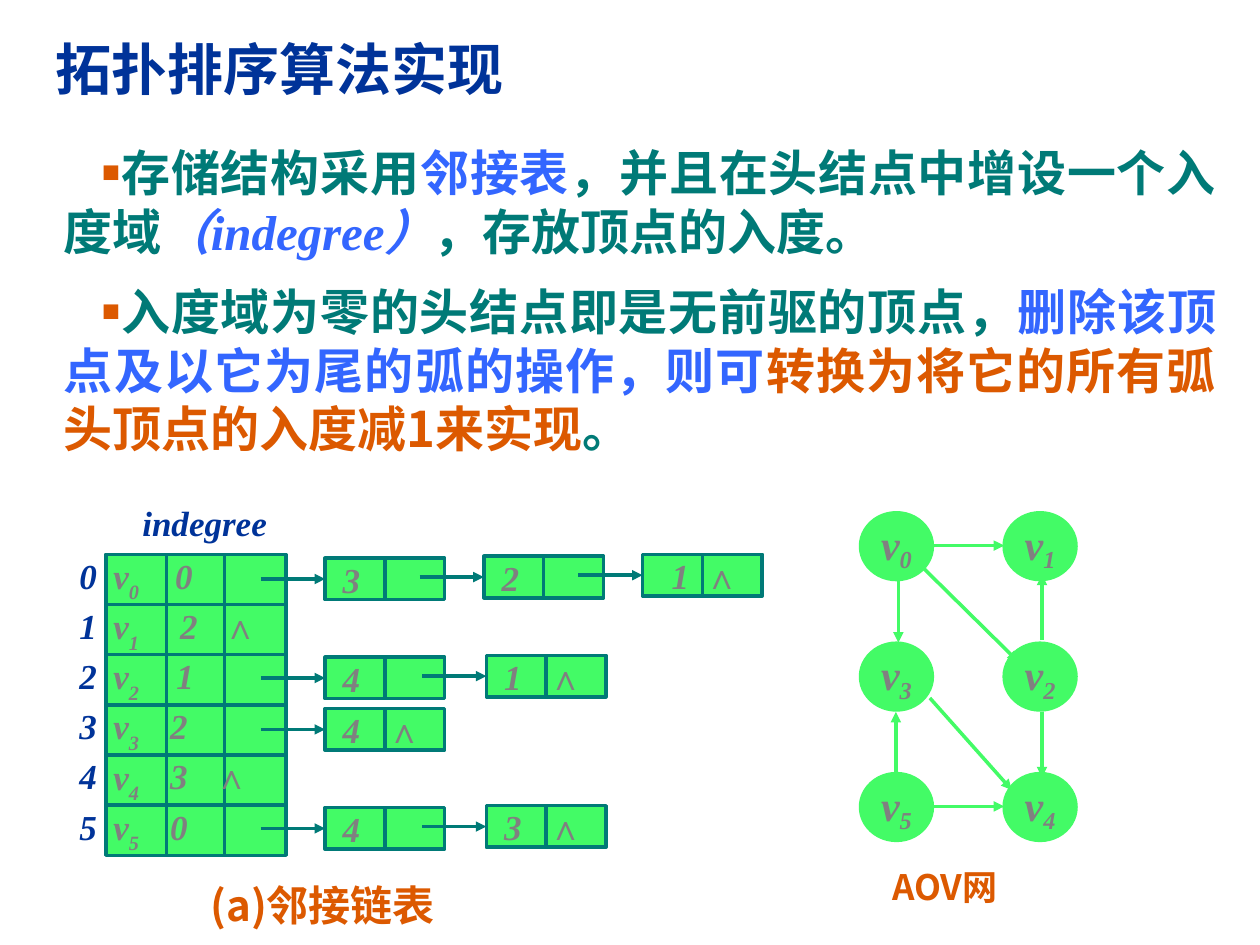
from dataclasses import dataclass
from typing import Optional

from lxml import etree
from pptx import Presentation
from pptx.dml.color import RGBColor
from pptx.enum.shapes import MSO_CONNECTOR, MSO_SHAPE
from pptx.enum.text import MSO_ANCHOR, MSO_AUTO_SIZE, PP_ALIGN
from pptx.oxml.ns import qn
from pptx.util import Inches, Pt

STRAIGHT = MSO_CONNECTOR.STRAIGHT
RECTANGLE, OVAL = MSO_SHAPE.RECTANGLE, MSO_SHAPE.OVAL
TOP, MIDDLE = MSO_ANCHOR.TOP, MSO_ANCHOR.MIDDLE
LEFT, CENTER, JUSTIFY = PP_ALIGN.LEFT, PP_ALIGN.CENTER, PP_ALIGN.JUSTIFY
FIXED = MSO_AUTO_SIZE.NONE
COLORS = {"navy": "003399", "teal": "007A77", "blue": "3366FF", "orange": "DC5900",
          "green": "43FB66", "gray": "808080"}
HAN, SERIF = "Noto Sans CJK SC", "Times New Roman"
COLUMNS, ROWS = 100, 75


@dataclass(frozen=True)
class Style:
    size: float
    color: str
    font: str = HAN
    italic: bool = False
    baseline: int = 0


@dataclass(frozen=True)
class Vertex:
    degree: int
    degree_left: float
    end_left: Optional[float] = None


@dataclass(frozen=True)
class Chain:
    row: int
    vertices: tuple
    drop: float
    pitch: float


TEAL, BLUE, ORANGE = (Style(28, name) for name in ("teal", "blue", "orange"))
LABEL = Style(20, "navy", SERIF, True)
CELL = Style(20, "gray", SERIF, True)
CELL_SUB = Style(20, "gray", SERIF, True, -30)
NODE = Style(24, "gray", SERIF, True)
NODE_SUB = Style(24, "gray", SERIF, True, -20)

POINTS = [
    [("存储结构采用", TEAL), ("邻接表", BLUE), ("，并且在头结点中增设一个入度域", TEAL),
     ("（indegree）", Style(28, "blue", SERIF, True)), ("，存放顶点的入度。", TEAL)],
    [("入度域为零的头结点即是无前驱的顶点，", TEAL),
     ("删除该顶点及以它为尾的弧的操作，则可", BLUE),
     ("转换为将它的所有弧头顶点的入度减1来实现", ORANGE), ("。", TEAL)],
]
VERTICES = [Vertex(0, 13.9), Vertex(2, 14.3, 17.7), Vertex(1, 14), Vertex(2, 13.5),
            Vertex(3, 13.5, 17), Vertex(0, 13.5)]
CHAINS = [Chain(0, (3, 2, 1), 0.3, 12.6), Chain(2, (4, 1), 0.2, 12.8),
          Chain(3, (4,), 0.3, 12.6), Chain(5, (4, 3), 0.2, 12.8)]
TABLE_LEFT, TABLE_TOP, TABLE_WIDTH, ROW_HEIGHT = 8.4, 44, 14.3, 3.98
LINK_LEFT, LINK_WIDTH, LINK_HEIGHT, LINK_LEAD = 25.8, 9.5, 3.3, 5.1
NODE_LEFT, NODE_TOP, NODE_WIDTH, NODE_HEIGHT = 68.3, 40.7, 5.7, 5.3
NODE_GAP_X, NODE_GAP_Y = 11.4, 10.35
NODE_GRID = [[0, 1], [3, 2], [5, 4]]
EDGES_BELOW = [(74, 64, 79.7, 64), (73.2, 45, 80.8, 52.5)]
EDGES_ABOVE = [(82.7, 56.5, 82.7, 61.7), (82.7, 50.8, 82.7, 45.6),
               (73.8, 55.4, 80.3, 62.7), (74, 43.3, 79.7, 43.3),
               (71.3, 45.8, 71.3, 51), (71.1, 61.7, 71.1, 56.5)]

prs = Presentation()
prs.slide_width, prs.slide_height = Inches(10), Inches(7.5)
slide = prs.slides.add_slide(prs.slide_layouts[5])


def across(columns: float) -> int:
    return round(prs.slide_width * columns / COLUMNS)


def down(rows: float) -> int:
    return round(prs.slide_height * rows / ROWS)


def area(left: float, top: float, width: float, height: float) -> tuple:
    return across(left), down(top), across(width), down(height)


def set_frame(frame, margin_x: float = 0, margin_y: float = 0, anchor=TOP) -> None:
    frame.auto_size = FIXED
    frame.word_wrap = True
    frame.vertical_anchor = anchor
    frame.margin_left = frame.margin_right = across(margin_x)
    frame.margin_top = frame.margin_bottom = down(margin_y)


def write(paragraph, pieces: list, align=JUSTIFY) -> None:
    paragraph.alignment = align
    for text, style in pieces:
        run = paragraph.add_run()
        run.text = text
        font = run.font
        font.name, font.size = style.font, Pt(style.size)
        font.bold, font.italic = True, style.italic
        font.color.rgb = RGBColor.from_string(COLORS[style.color])
        etree.SubElement(font._element, qn("a:ea"), typeface=HAN)
        if style.baseline:
            font._element.set("baseline", str(style.baseline * 1000))


def add_bullet(paragraph) -> None:
    properties = paragraph._p.get_or_add_pPr()
    properties.set("marL", "0")
    properties.set("indent", str(across(2.9)))
    color = etree.SubElement(properties, qn("a:buClr"))
    etree.SubElement(color, qn("a:srgbClr"), val=COLORS["orange"])
    etree.SubElement(properties, qn("a:buSzPct"), val="120000")
    etree.SubElement(properties, qn("a:buFont"), typeface=SERIF)
    etree.SubElement(properties, qn("a:buChar"), char="▪")


def add_label(box: tuple, pieces: list, align=LEFT) -> None:
    frame = slide.shapes.add_textbox(*area(*box)).text_frame
    set_frame(frame)
    write(frame.paragraphs[0], pieces, align)


def add_end_mark(left: float, top: float) -> None:
    add_label((left, top, 4, LINK_HEIGHT), [("∧", CELL)])


def add_filled(kind, box: tuple, outline: str, anchor=TOP):
    shape = slide.shapes.add_shape(kind, *area(*box))
    shape.shadow.inherit = False
    shape.fill.solid()
    shape.fill.fore_color.rgb = RGBColor.from_string(COLORS["green"])
    shape.line.color.rgb = RGBColor.from_string(COLORS[outline])
    shape.line.width = Pt(2)
    set_frame(shape.text_frame, anchor=anchor)
    return shape


def add_line(x1: float, y1: float, x2: float, y2: float, color: str, arrow: bool = False):
    line = slide.shapes.add_connector(STRAIGHT, across(x1), down(y1), across(x2), down(y2))
    line.line.color.rgb = RGBColor.from_string(COLORS[color])
    line.line.width = Pt(2)
    if arrow:
        etree.SubElement(line.line._get_or_add_ln(), qn("a:tailEnd"), type="triangle")
    etree.SubElement(line._element.spPr, qn("a:effectLst"))
    return line


def add_vertex_row(index: int, vertex: Vertex) -> None:
    top = TABLE_TOP + index * ROW_HEIGHT
    add_label((5.8, top, 2.4, 3.6), [(str(index), LABEL)], CENTER)
    row = add_filled(RECTANGLE, (TABLE_LEFT, top, TABLE_WIDTH, ROW_HEIGHT), "teal")
    row.text_frame.margin_left = across(0.6)
    write(row.text_frame.paragraphs[0], [("v", CELL), (str(index), CELL_SUB)], LEFT)
    for divider in (13.2, 17.8):
        add_line(divider, top, divider, top + ROW_HEIGHT, "teal")
    add_label((vertex.degree_left, top, 3, 3.6), [(str(vertex.degree), CELL)])
    if vertex.end_left:
        add_end_mark(vertex.end_left, top)


def add_chain(chain: Chain) -> None:
    for position, vertex in enumerate(chain.vertices):
        left = LINK_LEFT + position * chain.pitch
        top = TABLE_TOP + chain.row * ROW_HEIGHT + chain.drop - 0.15 * position
        link = add_filled(RECTANGLE, (left, top, LINK_WIDTH, LINK_HEIGHT), "teal")
        link.text_frame.margin_left = across(2.3 if position == 2 else 1.4)
        write(link.text_frame.paragraphs[0], [(str(vertex), CELL)], LEFT)
        divider, middle = left + LINK_WIDTH / 2, top + LINK_HEIGHT / 2
        add_line(divider, top, divider, top + LINK_HEIGHT, "teal")
        pointer = add_line(left - LINK_LEAD, middle, left, middle, "teal", True)
        pointer.end_connect(link, 1)
        if position == len(chain.vertices) - 1:
            add_end_mark(left + 4.9, top)


title = slide.shapes.title
title.left, title.top, title.width, title.height = area(3.4, 2.2, 60, 6.4)
set_frame(title.text_frame, 1, 0.5)
write(title.text_frame.paragraphs[0], [("拓扑排序算法实现", Style(32, "navy"))], LEFT)

body = slide.shapes.add_textbox(*area(4.1, 10.8, 93.4, 26.1)).text_frame
set_frame(body, 1, 0.5)
for number, pieces in enumerate(POINTS):
    point = body.add_paragraph() if number else body.paragraphs[0]
    add_bullet(point)
    if number:
        point.space_before = Pt(12.2)
    write(point, pieces)

for index, vertex in enumerate(VERTICES):
    add_vertex_row(index, vertex)
for chain in CHAINS:
    add_chain(chain)
add_label((11.3, 39.8, 12.7, 3.6), [("indegree", LABEL)])
add_label((16.7, 69.8, 20, 4.4), [("(a)邻接链表", Style(24, "orange"))])

for edge in EDGES_BELOW:
    add_line(*edge, "green", True)
for row, names in enumerate(NODE_GRID):
    for column, name in enumerate(names):
        place = (NODE_LEFT + column * NODE_GAP_X, NODE_TOP + row * NODE_GAP_Y)
        node = add_filled(OVAL, (*place, NODE_WIDTH, NODE_HEIGHT), "green", MIDDLE)
        write(node.text_frame.paragraphs[0], [("v", NODE), (str(name), NODE_SUB)], CENTER)
for edge in EDGES_ABOVE:
    add_line(*edge, "green", True)
add_label((70.8, 68.7, 11, 3.9), [("AOV网", Style(20, "orange"))])

prs.save("out.pptx")
